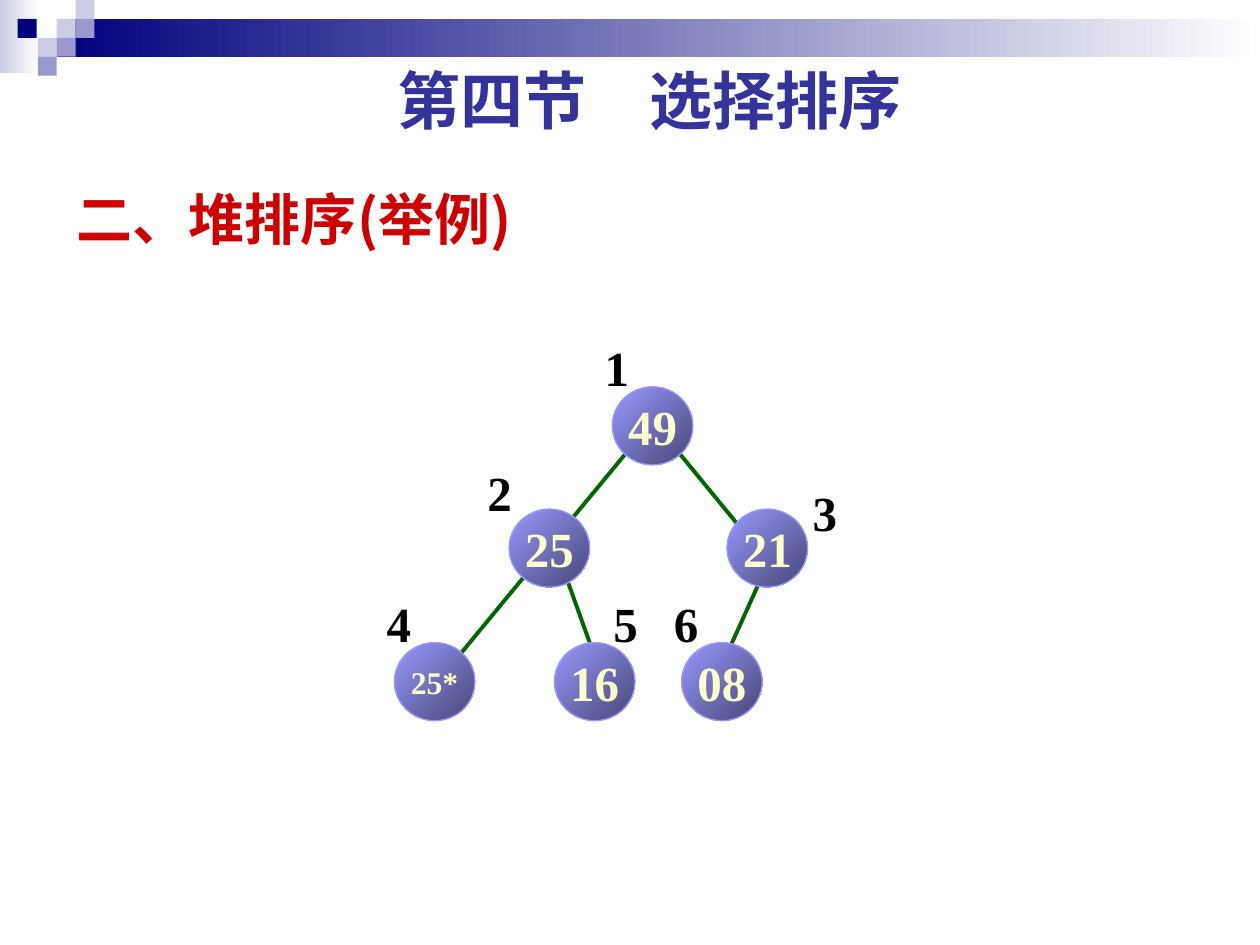
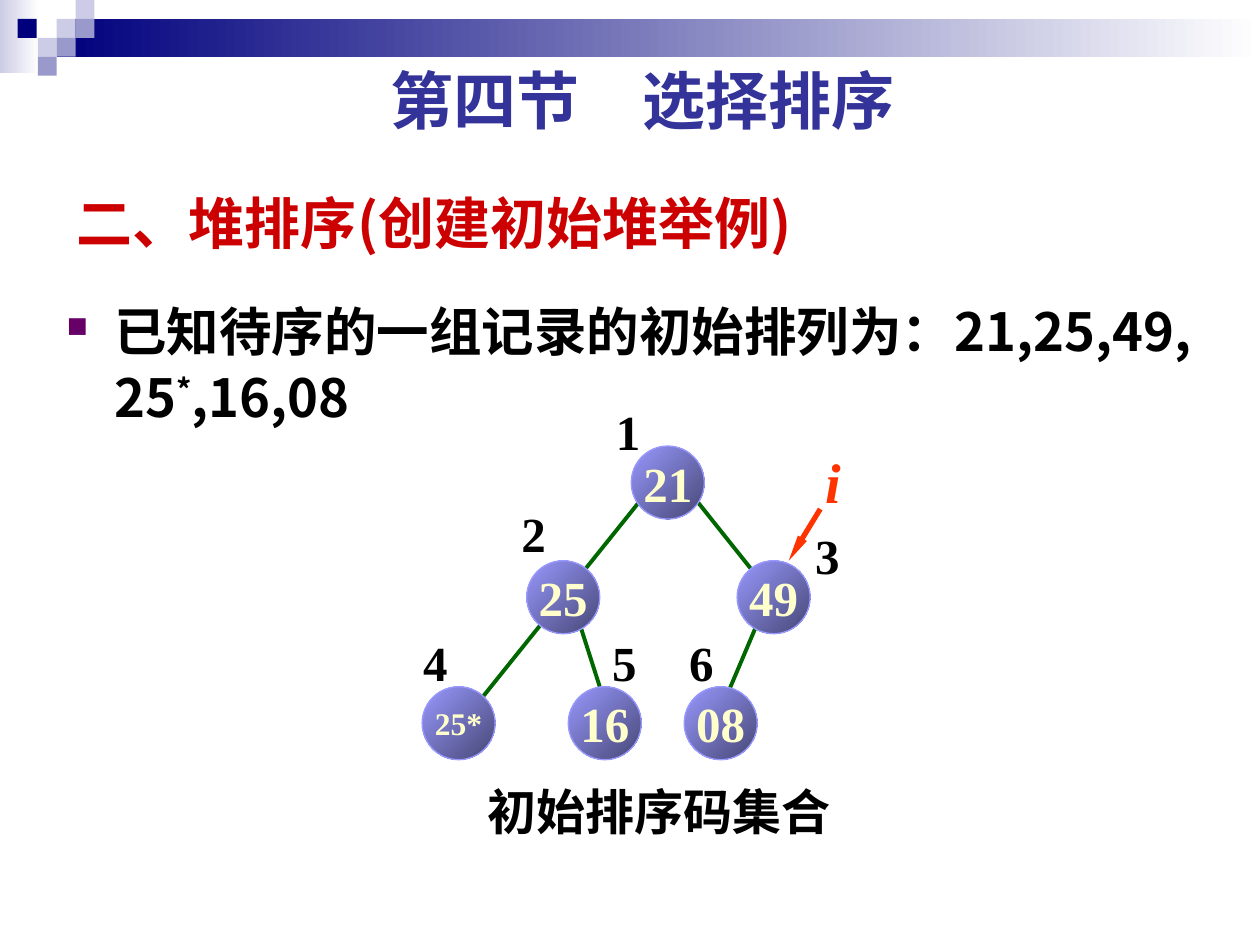
import pptx
import pptx.util
import pptx.dml.color
import pptx.enum.shapes
import pptx.enum.text
import pptx.oxml.ns
import lxml.etree

PX = 9144
SLIDE_SIZE = (1000, 750)

CJK = "Noto Sans CJK SC"
SERIF = "Times New Roman"
NAVY, LILAC, PALE, WHITE = "00007D", "9999CC", "CCCCE6", "FFFFFF"
RED, BLACK, GREEN, ORANGE = "CC0000", "000000", "006600", "FF3300"
NODE_LIGHT, NODE_DARK, NODE_TEXT = "9999FF", "474776", "FFFFCC"

CHAPTER = "第四节　选择排序"
BANDS = [
    ((0, 0, 31, 58), (PALE, WHITE)),
    ((45, 15, 955, 30), (NAVY, WHITE)),
]
TILE = 15
TILES = [
    (45, 15, PALE), (60, 0, PALE), (60, 15, LILAC), (30, 30, PALE),
    (14, 15, NAVY), (45, 30, LILAC), (30, 45, LILAC),
]

SLIDES = [
    {
        "heading": "二、堆排序(举例)",
        "heading_top": 136,
        "chapter_left": 53,
        "records": [],
        "node_size": (64, 62),
        "nodes": [("49", 486, 307), ("25", 404, 404), ("21", 577, 404),
                  ("25*", 313, 510), ("16", 440, 510), ("08", 541, 510)],
        "indexes": [(470, 263), (377, 362), (635, 378),
                    (297, 466), (477, 466), (525, 466)],
        "edges": [(605, 457, 577, 519), (532, 351, 605, 440),
                  (449, 457, 468, 510), (504, 351, 358, 528)],
        "pointer": None,
        "caption": None,
    },
    {
        "heading": "二、堆排序(创建初始堆举例)",
        "heading_top": 139,
        "chapter_left": 47,
        "records": [("已知待序的一组记录的初始排列为：21,25,49, 25", 0),
                    ("*", 30), (",16,08", 0)],
        "node_size": (58, 58),
        "nodes": [("21", 501, 354), ("25", 418, 445), ("49", 585, 445),
                  ("25*", 335, 545), ("16", 451, 545), ("08", 543, 545)],
        "indexes": [(479, 314), (404, 395), (637, 412),
                    (326, 497), (476, 497), (537, 497)],
        "edges": [(601, 495, 576, 554), (551, 395, 618, 479),
                  (460, 495, 476, 545), (510, 395, 376, 562)],
        "pointer": {"name": "i", "box": (645, 350, 32, 64),
                    "arrow": (651, 404, 626, 445)},
        "caption": ("初始排序码集合", (377, 615, 292, 57)),
    },
]


def color(value):
    return pptx.dml.color.RGBColor.from_string(value)


def emu(lengths):
    return [length * PX for length in lengths]


def add_tag(parent, tag, **attributes):
    return lxml.etree.SubElement(parent, pptx.oxml.ns.qn(tag), attributes)


def paint(shape, fill, angle=0):
    if isinstance(fill, str):
        shape.fill.solid()
        shape.fill.fore_color.rgb = color(fill)
        return
    shape.fill.gradient()
    shape.fill.gradient_angle = (360 - angle) % 360
    for stop, position, value in zip(shape.fill.gradient_stops, (0, 1), fill):
        stop.position = position
        stop.color.rgb = color(value)


def add_figure(slide, kind, place, fill, angle=0, outline=None):
    shape = slide.shapes.add_shape(kind, *emu(place))
    shape.shadow.inherit = False
    paint(shape, fill, angle)
    if outline:
        shape.line.color.rgb = color(outline)
        shape.line.width = pptx.util.Pt(0.75)
    else:
        shape.line.fill.background()
    return shape


def add_span(para, text, size, font, ink, italic=False, raised=0):
    span = para.add_run()
    span.text = text
    span.font.size = pptx.util.Pt(size)
    span.font.bold = True
    span.font.italic = italic
    span.font.name = font
    span.font.color.rgb = color(ink)
    properties = span.font._element
    add_tag(properties, "a:ea", typeface=CJK)
    if raised:
        properties.set("baseline", str(raised * 1000))


def add_text(slide, place, wrap=True, grow=False):
    box = slide.shapes.add_textbox(*emu(place))
    frame = box.text_frame
    frame.word_wrap = wrap
    if grow:
        frame.auto_size = pptx.enum.text.MSO_AUTO_SIZE.SHAPE_TO_FIT_TEXT
    return frame


def add_label(slide, place, text, size, ink, italic=False):
    frame = add_text(slide, place, wrap=False, grow=True)
    add_span(frame.paragraphs[0], text, size, SERIF, ink, italic)


def add_line(slide, ends, ink, width, arrow=False):
    line = slide.shapes.add_connector(
        pptx.enum.shapes.MSO_CONNECTOR.STRAIGHT, *emu(ends))
    line.line.color.rgb = color(ink)
    line.line.width = pptx.util.Pt(width)
    if arrow:
        add_tag(line.line._get_or_add_ln(), "a:tailEnd",
                type="triangle", w="sm", len="lg")
    add_tag(line._element.spPr, "a:effectLst")


def add_decoration(slide):
    rectangle = pptx.enum.shapes.MSO_SHAPE.RECTANGLE
    for place, fill in BANDS:
        add_figure(slide, rectangle, place, fill)
    for left, top, fill in TILES:
        add_figure(slide, rectangle, (left, top, TILE, TILE), fill)


def add_headings(slide, content):
    frame = add_text(slide, (51, content["heading_top"], 625, 75))
    frame.vertical_anchor = pptx.enum.text.MSO_ANCHOR.MIDDLE
    add_span(frame.paragraphs[0], content["heading"], 32, CJK, RED)

    frame = add_text(slide, (content["chapter_left"], 44, 925, 70), grow=True)
    para = frame.paragraphs[0]
    para.alignment = pptx.enum.text.PP_ALIGN.CENTER
    para.space_before = pptx.util.Pt(22.5)
    add_span(para, CHAPTER, 36, "Cabin", "333399")


def add_records(slide, records):
    para = add_text(slide, (43, 230, 958, 373)).paragraphs[0]
    para.line_spacing = 1.05
    para.space_before = pptx.util.Pt(11.2)
    properties = para._p.get_or_add_pPr()
    properties.set("marL", str(38 * PX))
    properties.set("indent", str(-38 * PX))
    bullet_color = add_tag(properties, "a:buClr")
    add_tag(bullet_color, "a:srgbClr", val="660066")
    add_tag(properties, "a:buSzPct", val="55000")
    add_tag(properties, "a:buChar", char="■")
    for text, raised in records:
        add_span(para, text, 30, CJK, BLACK, raised=raised)


def add_tree(slide, content):
    for ends in content["edges"]:
        add_line(slide, ends, GREEN, 2.25)
    for key, left, top in content["nodes"]:
        node = add_figure(slide, pptx.enum.shapes.MSO_SHAPE.OVAL,
                          (left, top, *content["node_size"]),
                          (NODE_LIGHT, NODE_DARK), 45, NODE_LIGHT)
        frame = node.text_frame
        frame.word_wrap = False
        frame.vertical_anchor = pptx.enum.text.MSO_ANCHOR.MIDDLE
        para = frame.paragraphs[0]
        para.alignment = pptx.enum.text.PP_ALIGN.CENTER
        add_span(para, key, 28 if len(key) == 2 else 18, SERIF, NODE_TEXT)
    for index, (left, top) in enumerate(content["indexes"], 1):
        add_label(slide, (left, top, 39, 57), str(index), 28, BLACK)


def main():
    deck = pptx.Presentation()
    deck.slide_width, deck.slide_height = emu(SLIDE_SIZE)
    for content in SLIDES:
        slide = deck.slides.add_slide(deck.slide_layouts[6])
        add_decoration(slide)
        add_headings(slide, content)
        if content["records"]:
            add_records(slide, content["records"])
        add_tree(slide, content)
        pointer = content["pointer"]
        if pointer:
            add_line(slide, pointer["arrow"], ORANGE, 3, arrow=True)
            add_label(slide, pointer["box"], pointer["name"], 32, ORANGE, True)
        if content["caption"]:
            text, place = content["caption"]
            add_label(slide, place, text, 28, BLACK)
    deck.save("out.pptx")


if __name__ == "__main__":
    main()
